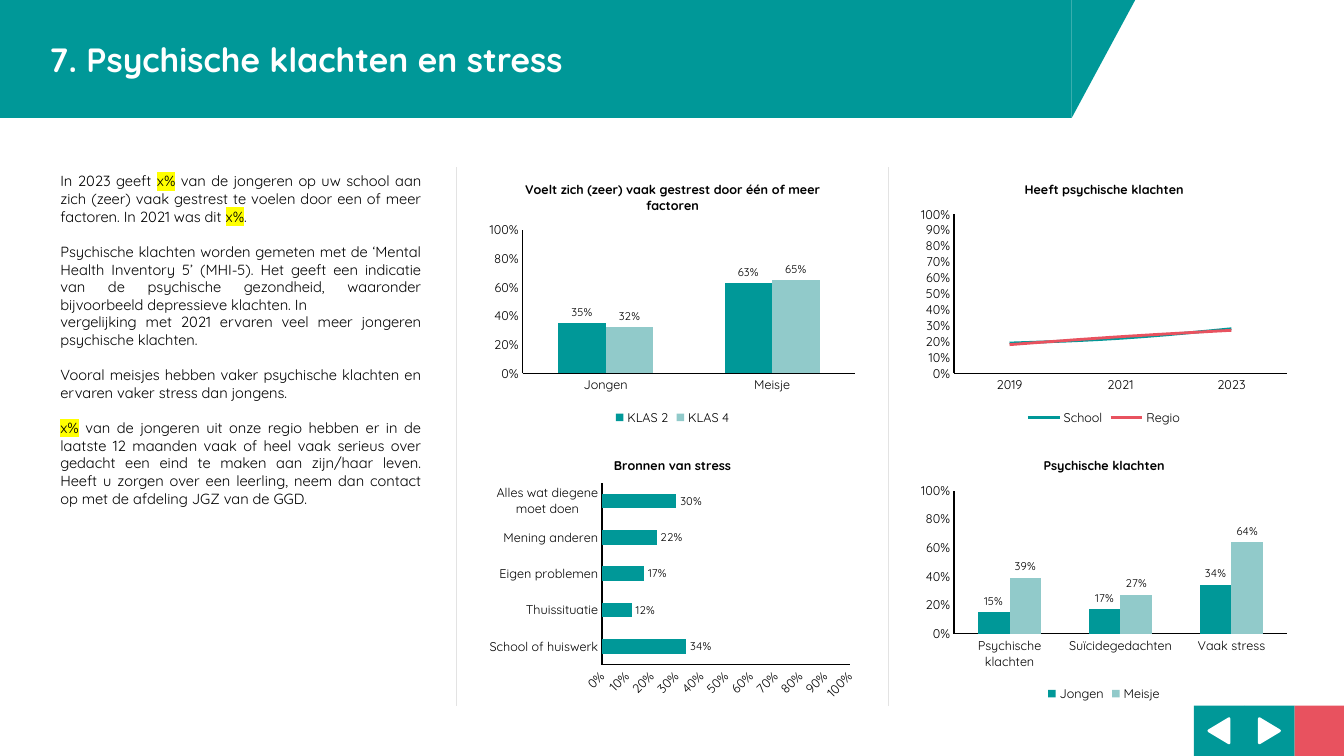
from lxml.etree import SubElement
from pptx import Presentation
from pptx.chart.data import CategoryChartData
from pptx.dml.color import RGBColor
from pptx.enum.chart import XL_CHART_TYPE as ChartType, XL_LABEL_POSITION as LabelPosition
from pptx.enum.chart import XL_LEGEND_POSITION as LegendPosition, XL_TICK_MARK as TickMark
from pptx.enum.shapes import MSO_CONNECTOR as Connector, MSO_SHAPE as Shape
from pptx.enum.text import MSO_ANCHOR as Anchor, MSO_AUTO_SIZE as AutoSize, PP_ALIGN as Align
from pptx.oxml.ns import qn
from pptx.util import Pt

PX = 9144
FONT = "Quicksand"
COLORS = {
    "teal": "009898",
    "light_teal": "91CACA",
    "red": "E8525F",
    "divider": "E3E3E3",
    "marker": "FFFF00",
    "text": "000000",
    "white": "FFFFFF",
}
HIGHLIGHT = "x%"
STORY = [
    ("In 2023 geeft x% van de jongeren op uw school aan zich (zeer) vaak gestrest te voelen "
     "door een of meer factoren. In 2021 was dit x%.", False),
    ("Psychische klachten worden gemeten met de ‘Mental Health Inventory 5’ (MHI-5). Het geeft "
     "een indicatie van de psychische gezondheid, waaronder bijvoorbeeld depressieve klachten. In", True),
    ("vergelijking met 2021 ervaren veel meer jongeren psychische klachten.", False),
    ("Vooral meisjes hebben vaker psychische klachten en ervaren vaker stress dan jongens.", True),
    ("x% van de jongeren uit onze regio hebben er in de laatste 12 maanden vaak of heel vaak "
     "serieus over gedacht een eind te maken aan zijn/haar leven. Heeft u zorgen over een leerling, "
     "neem dan contact op met de afdeling JGZ van de GGD.", True),
]
CHARTS = [
    (0, 0, ChartType.COLUMN_CLUSTERED, "Voelt zich (zeer) vaak gestrest door één of meer factoren",
     ["Jongen", "Meisje"],
     [("KLAS 2", (0.35, 0.63), "teal"), ("KLAS 4", (0.32, 0.65), "light_teal")]),
    (0, 1, ChartType.BAR_CLUSTERED, "Bronnen van stress",
     ["School of huiswerk", "Thuissituatie", "Eigen problemen", "Mening anderen",
      "Alles wat diegene moet doen"],
     [("Series 1", (0.34, 0.12, 0.17, 0.22, 0.3), "teal")]),
    (1, 0, ChartType.LINE, "Heeft psychische klachten",
     ["2019", "2021", "2023"],
     [("School", (0.19, 0.22, 0.28), "teal"), ("Regio", (0.18, 0.23, 0.27), "red")]),
    (1, 1, ChartType.COLUMN_CLUSTERED, "Psychische klachten",
     ["Psychische klachten", "Suïcidegedachten", "Vaak stress"],
     [("Jongen", (0.15, 0.17, 0.34), "teal"), ("Meisje", (0.39, 0.27, 0.64), "light_teal")]),
]


def rgb(color):
    return RGBColor.from_string(COLORS[color])


def emu(*lengths):
    return [length * PX for length in lengths]


def set_font(font, size, color="text", bold=False):
    font.name = FONT
    font.size = Pt(size)
    font.bold = bold
    font.color.rgb = rgb(color)


def add_block(slide, preset, box, color):
    block = slide.shapes.add_shape(preset, *emu(*box))
    block.shadow.inherit = False
    block.fill.solid()
    block.fill.fore_color.rgb = rgb(color)
    block.line.fill.background()
    return block


def add_header(slide, left, top, width, height):
    slant_width = 63
    band_width = width - slant_width
    title = slide.shapes.title
    title.left, title.top, title.width, title.height = emu(left, top, band_width, height)
    title.fill.solid()
    title.fill.fore_color.rgb = rgb("teal")
    frame = title.text_frame
    frame.text = "7. Psychische klachten en stress"
    frame.vertical_anchor = Anchor.MIDDLE
    frame.margin_left = 49 * PX
    heading = frame.paragraphs[0]
    heading.alignment = Align.LEFT
    set_font(heading.font, 24, "white", True)
    slant = add_block(slide, Shape.RIGHT_TRIANGLE, (left + band_width, top, slant_width, height), "teal")
    slant._element.spPr.find(qn("a:xfrm")).set("flipV", "1")


def add_divider(slide, left, top, height):
    divider = slide.shapes.add_connector(Connector.STRAIGHT, *emu(left, top + height, left, top))
    divider.line.color.rgb = rgb("divider")
    divider.line.width = Pt(1)
    SubElement(divider._element.spPr, qn("a:effectLst"))


def add_highlight(run):
    highlight = SubElement(run._r.get_or_add_rPr(), qn("a:highlight"))
    SubElement(highlight, qn("a:srgbClr")).set("val", COLORS["marker"])


def add_story(slide, left, top, width, height):
    frame = slide.shapes.add_textbox(*emu(left, top, width, height)).text_frame
    frame.word_wrap = True
    frame.auto_size = AutoSize.SHAPE_TO_FIT_TEXT
    for index, (text, starts_section) in enumerate(STORY):
        paragraph = frame.paragraphs[0] if index == 0 else frame.add_paragraph()
        paragraph.alignment = Align.JUSTIFY
        if starts_section:
            paragraph.space_before = Pt(12.6)
        for position, part in enumerate(text.split(HIGHLIGHT)):
            if position:
                marked = paragraph.add_run()
                marked.text = HIGHLIGHT
                add_highlight(marked)
            if part:
                paragraph.add_run().text = part
        set_font(paragraph.font, 10.5)


def format_axis(axis):
    axis.has_major_gridlines = False
    axis.major_tick_mark = axis.minor_tick_mark = TickMark.NONE
    axis.format.line.color.rgb = rgb("text")
    axis.format.line.width = Pt(1)
    set_font(axis.tick_labels.font, 9)


def format_bars(plot, bars, color):
    plot.gap_width = 150
    bars.invert_if_negative = False
    bars.format.fill.solid()
    bars.format.fill.fore_color.rgb = rgb(color)
    labels = bars.data_labels
    labels.show_value = True
    labels.position = LabelPosition.OUTSIDE_END
    labels.number_format = "0%"
    labels.number_format_is_linked = False
    set_font(labels.font, 8)


def format_trend(trend, color):
    trend.smooth = True
    trend.format.line.color.rgb = rgb(color)
    trend.format.line.width = Pt(2)


def add_percent_chart(slide, box, kind, heading, categories, groups):
    data = CategoryChartData(number_format="0%")
    data.categories = categories
    for name, values, _ in groups:
        data.add_series(name, values)
    chart = slide.shapes.add_chart(kind, *emu(*box), data).chart
    set_font(chart.font, 9)
    chart.has_title = True
    chart.chart_title.text_frame.text = heading
    set_font(chart.chart_title.text_frame.paragraphs[0].font, 9, bold=True)
    chart.chart_title.include_in_layout = False
    chart.has_legend = len(groups) > 1
    if chart.has_legend:
        chart.legend.position = LegendPosition.BOTTOM
        chart.legend.include_in_layout = False
        set_font(chart.legend.font, 9)
    format_axis(chart.category_axis)
    format_axis(chart.value_axis)
    chart.value_axis.minimum_scale = 0
    chart.value_axis.maximum_scale = 1
    chart.value_axis.tick_labels.number_format = "0%"
    chart.value_axis.tick_labels.number_format_is_linked = False
    plot = chart.plots[0]
    plot.vary_by_categories = False
    for series, (_, _, color) in zip(plot.series, groups):
        if kind == ChartType.LINE:
            format_trend(series, color)
        else:
            format_bars(plot, series, color)


def add_chart_grid(slide, left, top):
    width, height = 378, 260
    for column, row, *content in CHARTS:
        box = (left + column * 428, top + row * 274, width, height)
        add_percent_chart(slide, box, *content)


def add_navigation(slide, left, top, side):
    for index, (color, rotation) in enumerate([("teal", 270), ("teal", 90), ("red", None)]):
        button_left = left + index * side
        add_block(slide, Shape.RECTANGLE, (button_left, top, side, side), color)
        if rotation is not None:
            arrow = add_block(slide, Shape.ISOSCELES_TRIANGLE, (button_left + 13, top + 15, 24, 20), "white")
            arrow.rotation = rotation
            arrow.line.color.rgb = rgb("white")
            arrow.line.width = Pt(2)


def main():
    deck = Presentation()
    deck.slide_width, deck.slide_height = emu(1333, 750)
    slide = deck.slides.add_slide(deck.slide_layouts[5])
    add_header(slide, 0, 0, 1126, 117)
    for left in (453, 881):
        add_divider(slide, left, 166, 534)
    add_story(slide, 50, 166, 378, 346)
    add_chart_grid(slide, 478, 166)
    add_navigation(slide, 1184, 700, 50)
    deck.save("out.pptx")


if __name__ == "__main__":
    main()
